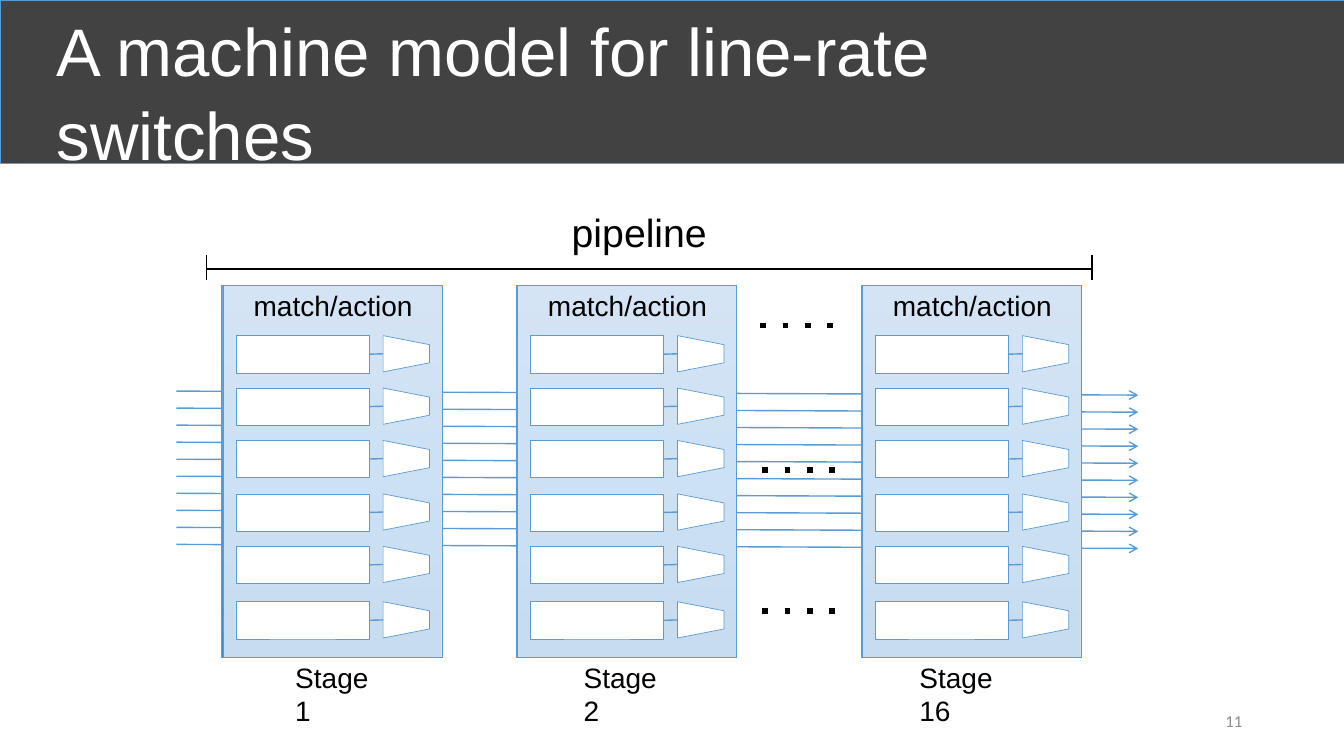
from copy import deepcopy
from dataclasses import dataclass
from typing import Any

from lxml import etree
from pptx import Presentation
from pptx import util as u
from pptx.dml.color import RGBColor
from pptx.enum import shapes, text
from pptx.oxml import ns

CELL = u.Inches(0.1)
BLACK = RGBColor(0x00, 0x00, 0x00)
WHITE = RGBColor(0xFF, 0xFF, 0xFF)
BLUE = RGBColor(0x5B, 0x9B, 0xD5)
CHARCOAL = RGBColor(0x42, 0x42, 0x42)
GRAY = RGBColor(0x8C, 0x8C, 0x8C)
STAGE_GRADIENT = (
    RGBColor(0x71, 0xA6, 0xDB),
    RGBColor(0x55, 0x9B, 0xDB),
    RGBColor(0x44, 0x8A, 0xCA),
)


@dataclass(frozen=True)
class Box:
    column: float
    row: float
    columns: float
    rows: float

    def lengths(self) -> tuple[int, ...]:
        return tuple(grid(value) for value in (self.column, self.row, self.columns, self.rows))


@dataclass(frozen=True)
class Stage:
    name: str
    column: float
    label_column: float
    label_columns: float


@dataclass(frozen=True)
class Line:
    start_column: float
    start_row: float
    end_column: float
    end_row: float


STAGES = (
    Stage("Stage 1", 22, 28.3, 10.3),
    Stage("Stage 2", 51.2, 56.9, 10.7),
    Stage("Stage 16", 85.4, 90.2, 11.8),
)
UNIT_ROWS = (33.3, 38.5, 43.7, 49, 54.2, 59.7)
ELLIPSES = (
    Line(75.4, 32.3, 84, 32.3),
    Line(75.6, 46.6, 84.2, 46.6),
    Line(75.6, 60.6, 84.2, 60.6),
)
BRACKET = (
    Line(20.5, 25.3, 20.5, 27.8),
    Line(108.3, 25.3, 108.3, 27.8),
    Line(20.5, 26.7, 108.3, 26.7),
)
WIRE_COUNT = 10
WIRE_GAP = 1.69


def grid(cells: float) -> int:
    return round(cells * CELL)


def add_block(container: Any, box: Box, fill: RGBColor,
              kind: Any = shapes.MSO_SHAPE.RECTANGLE) -> Any:
    shape = container.add_shape(kind, *box.lengths())
    shape.shadow.inherit = False
    shape.fill.solid()
    shape.fill.fore_color.rgb = fill
    shape.line.color.rgb = BLUE
    shape.line.width = u.Pt(0.5)
    return shape


def add_line(container: Any, line: Line, color: RGBColor, width: float = 1,
             dotted: bool = False, arrow: bool = False) -> None:
    connector = container.add_connector(
        shapes.MSO_CONNECTOR.STRAIGHT, grid(line.start_column), grid(line.start_row),
        grid(line.end_column), grid(line.end_row))
    connector.line.color.rgb = color
    connector.line.width = u.Pt(width)
    properties = connector._element.spPr
    outline = properties.find(ns.qn("a:ln"))
    if dotted:
        etree.SubElement(outline, ns.qn("a:prstDash"), val="dot")
    if arrow:
        etree.SubElement(outline, ns.qn("a:tailEnd"), type="arrow")
    etree.SubElement(properties, ns.qn("a:effectLst"))


def add_run(paragraph: Any, words: str, size: float, color: RGBColor,
            font: str = "Arial") -> None:
    run = paragraph.add_run()
    run.text = words
    run.font.name = font
    run.font.size = u.Pt(size)
    run.font.color.rgb = color


def add_label(container: Any, box: Box, words: str, size: float,
              align: Any = text.PP_ALIGN.LEFT, color: RGBColor = BLACK,
              font: str = "Arial", wrap: bool = True, padded: bool = False) -> Any:
    frame = container.add_textbox(*box.lengths()).text_frame
    frame.word_wrap = wrap
    if padded:
        frame.margin_left = frame.margin_right = u.Inches(0.14)
        frame.margin_top = frame.margin_bottom = u.Inches(0.07)
    paragraph = frame.paragraphs[0]
    paragraph.alignment = align
    add_run(paragraph, words, size, color, font)
    return frame


def add_stage_panel(container: Any, stage: Stage) -> None:
    panel = add_block(container, Box(stage.column, 28.3, 21.8, 36.9), BLUE)
    panel.fill.gradient()
    panel.fill.gradient_angle = 270
    stop_list = panel._element.spPr.find(".//" + ns.qn("a:gsLst"))
    stop_list.insert(1, deepcopy(stop_list[0]))
    for index, (stop, color) in enumerate(zip(panel.fill.gradient_stops, STAGE_GRADIENT)):
        stop.color.rgb = color
        stop.position = index / 2
    veil = add_block(container, Box(stage.column + 0.15, 28.3, 21.7, 36.9), WHITE)
    white = veil._element.spPr.find(ns.qn("a:solidFill"))[0]
    etree.SubElement(white, ns.qn("a:alpha"), val="70000")


def add_stage(slide: Any, stage: Stage) -> None:
    container = slide.shapes.add_group_shape().shapes
    add_stage_panel(container, stage)
    for row in UNIT_ROWS:
        add_block(container, Box(stage.column + 1.4, row, 13.2, 3.7), WHITE)
        action = add_block(container, Box(stage.column + 16.5, row - 0.5, 3.6, 4.6), WHITE,
                           shapes.MSO_SHAPE.TRAPEZOID)
        action.rotation = 90
        add_line(container, Line(stage.column + 14.6, row + 1.84,
                                 stage.column + 16, row + 1.8), BLUE)
    add_label(container, Box(stage.column + 1.75, 27.9, 19.2, 4.8), "match/action", 20,
              wrap=False, padded=True)
    add_label(container, Box(stage.label_column, 65, stage.label_columns, 4.4), stage.name, 20)


def add_title(slide: Any) -> None:
    banner = add_block(slide.shapes, Box(0, 0, 133.3, 16.2), CHARCOAL)
    slide.shapes._spTree.insert(2, banner._element)
    title = slide.shapes.title
    title.left, title.top, title.width, title.height = Box(4.6, 1.3, 115, 14.5).lengths()
    frame = title.text_frame
    frame.word_wrap = True
    frame.auto_size = text.MSO_AUTO_SIZE.NONE
    frame.vertical_anchor = text.MSO_ANCHOR.MIDDLE
    frame.margin_top = u.Inches(0.13)
    paragraph = frame.paragraphs[0]
    paragraph.alignment = text.PP_ALIGN.LEFT
    paragraph.line_spacing = 1.04
    add_run(paragraph, "A machine model for line-rate switches", 48, WHITE)


def main() -> None:
    presentation = Presentation()
    presentation.slide_width = grid(133.3)
    presentation.slide_height = grid(75)
    slide = presentation.slides.add_slide(presentation.slide_layouts.get_by_name("Title Only"))
    add_title(slide)
    number = add_label(slide.shapes, Box(94.2, 69.5, 30, 4), "11", 12,
                       text.PP_ALIGN.RIGHT, GRAY, "Calibri")
    number.vertical_anchor = text.MSO_ANCHOR.MIDDLE
    for index in range(WIRE_COUNT):
        row = 38.8 + index * WIRE_GAP
        add_line(slide.shapes, Line(17.5, row, 112.9, row + 0.4), BLUE, arrow=True)
    for ellipsis in ELLIPSES:
        add_line(slide.shapes, ellipsis, BLACK, 4, dotted=True)
    for edge in BRACKET:
        add_line(slide.shapes, edge, BLACK)
    add_label(slide.shapes, Box(48.9, 20, 29, 6.2), "pipeline", 28,
              text.PP_ALIGN.CENTER, padded=True)
    for stage in STAGES:
        add_stage(slide, stage)
    presentation.save("out.pptx")


if __name__ == "__main__":
    main()
